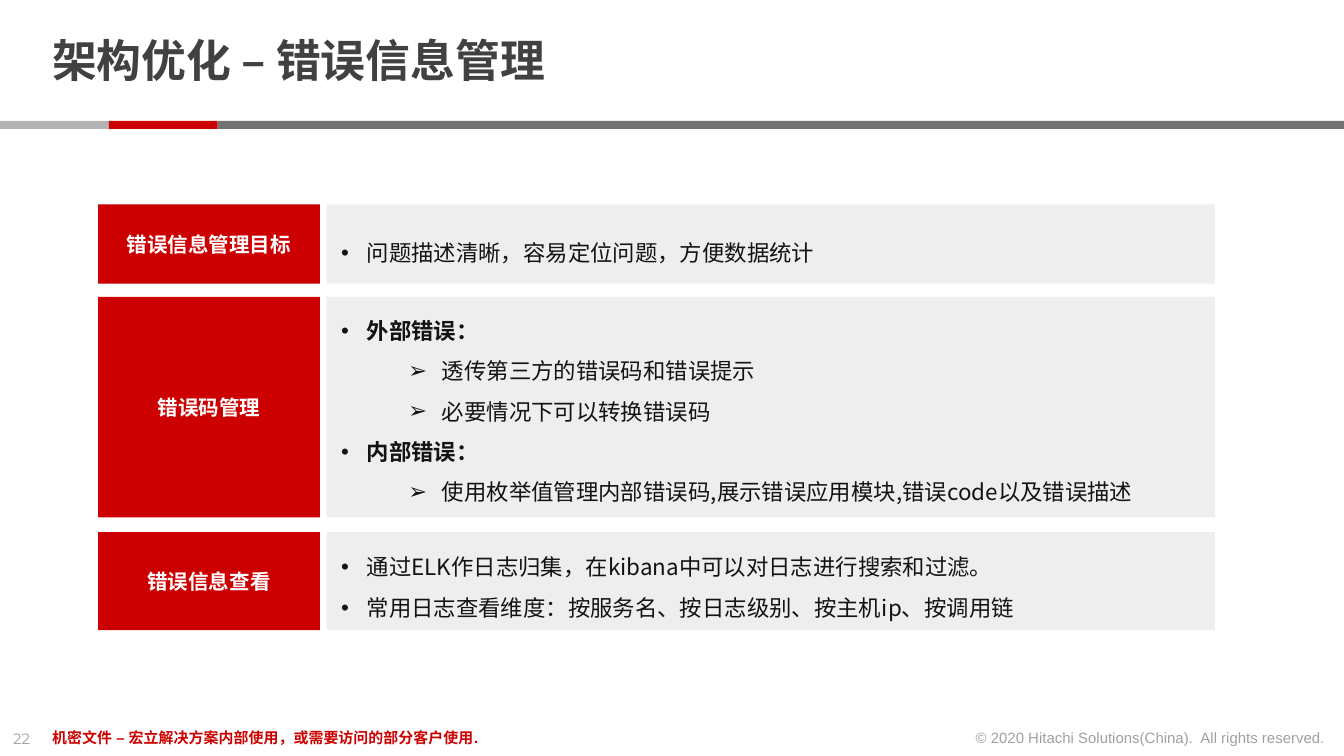
from lxml import etree
from pptx import Presentation
from pptx.dml.color import RGBColor
from pptx.enum import shapes, text
from pptx.oxml.ns import qn
from pptx.util import Inches, Pt

SANS = "Noto Sans CJK SC"
RED, DARK, PALE, INK, FAINT = "CC0000", "414141", "EEEEEE", "141313", "A0A0A0"
LEFT, MID = text.PP_ALIGN.LEFT, text.PP_ALIGN.CENTER

TITLE = "架构优化 – 错误信息管理"
BARS = [(0, 0.81, "B3B3B3"), (0.81, 0.81, RED), (1.62, 8.38, "737373")]
# left, top, width, height, words, font, colour, bold, align, wrap
FOOT = [
    (0, 5.38, 0.34, 0.24, "22", "Montserrat", FAINT, False, LEFT, False),
    (0.29, 5.37, 6.74, 0.24, "机密文件 – 宏立解决方案内部使用，或需要访问的部分客户使用.",
     "Arial", RED, True, LEFT, True),
    (7.12, 5.37, 2.84, 0.24, "© 2020 Hitachi Solutions(China).\u00a0 All rights reserved.",
     "Arial", FAINT, False, text.PP_ALIGN.RIGHT, False),
]
# label, top, height, text top, text width, text height, lines as (level, bold, words)
ROWS = [
    ("错误信息管理目标", 1.52, 0.59, 1.63, 3.92, 0.37, [
        (0, False, "问题描述清晰，容易定位问题，方便数据统计")]),
    ("错误码管理", 2.21, 1.64, 2.21, 6.52, 1.58, [
        (0, True, "外部错误："),
        (1, False, "透传第三方的错误码和错误提示"),
        (1, False, "必要情况下可以转换错误码"),
        (0, True, "内部错误："),
        (1, False, "使用枚举值管理内部错误码,展示错误应用模块,错误code以及错误描述")]),
    ("错误信息查看", 3.96, 0.73, 3.97, 6.4, 0.67, [
        (0, False, "通过ELK作日志归集，在kibana中可以对日志进行搜索和过滤。"),
        (0, False, "常用日志查看维度：按服务名、按日志级别、按主机ip、按调用链")]),
]
# bullet, left margin, hanging indent for each level
LEVELS = [("•", 0.19, 0.19), ("➢", 0.75, 0.25)]


def rgb(code):
    return RGBColor.from_string(code)


def style(para, size, color, bold=False, font=SANS, align=LEFT):
    para.alignment = align
    for run in para.runs:
        run.font.size, run.font.bold, run.font.name = Pt(size), bold, font
        run.font.color.rgb = rgb(color)
        east = etree.SubElement(run._r.get_or_add_rPr(), qn("a:ea"))
        east.set("typeface", font)


def block(left, top, width, height, color):
    shape = slide.shapes.add_shape(shapes.MSO_SHAPE.RECTANGLE, Inches(left),
                                   Inches(top), Inches(width), Inches(height))
    shape.shadow.inherit = False
    shape.fill.solid()
    shape.fill.fore_color.rgb = rgb(color)
    shape.line.fill.background()
    return shape


def textbox(left, top, width, height, wrap=True):
    box = slide.shapes.add_textbox(Inches(left), Inches(top),
                                   Inches(width), Inches(height))
    box.text_frame.word_wrap = wrap
    return box.text_frame


def bullet(para, level):
    mark, margin, hang = LEVELS[level]
    para.level = level
    para.line_spacing = 1.5
    props = para._p.get_or_add_pPr()
    props.set("marL", str(Inches(margin)))
    props.set("indent", str(-Inches(hang)))
    etree.SubElement(props, qn("a:buFont")).set("typeface", "Arial")
    etree.SubElement(props, qn("a:buChar")).set("char", mark)


deck = Presentation()
deck.slide_width = Inches(10)
deck.slide_height = deck.slide_width * 9 // 16
slide = deck.slides.add_slide(deck.slide_layouts[6])

for left, width, color in BARS:
    block(left, 0.9, width, 0.06, color)

for left, top, width, height, words, font, color, bold, align, wrap in FOOT:
    frame = textbox(left, top, width, height, wrap)
    frame.text = words
    style(frame.paragraphs[0], 8, color, bold, font, align)

frame = textbox(0.29, 0.11, 7.71, 0.73)
frame.margin_top = frame.margin_bottom = 0
frame.vertical_anchor = text.MSO_ANCHOR.MIDDLE
frame.text = TITLE
frame.paragraphs[0].line_spacing = 0.85
style(frame.paragraphs[0], 24, DARK, True)

for label, top, height, text_top, text_width, text_height, lines in ROWS:
    block(2.43, top, 6.61, height, PALE)
    frame = block(0.73, top, 1.65, height, RED).text_frame
    frame.vertical_anchor = text.MSO_ANCHOR.MIDDLE
    frame.text = label
    style(frame.paragraphs[0], 11, "FFFFFF", True, align=MID)

    frame = textbox(2.44, text_top, text_width, text_height)
    frame.text = "\n".join(words for _, _, words in lines)
    for para, (level, bold, _) in zip(frame.paragraphs, lines):
        bullet(para, level)
        style(para, 12, INK, bold)

deck.save("out.pptx")
